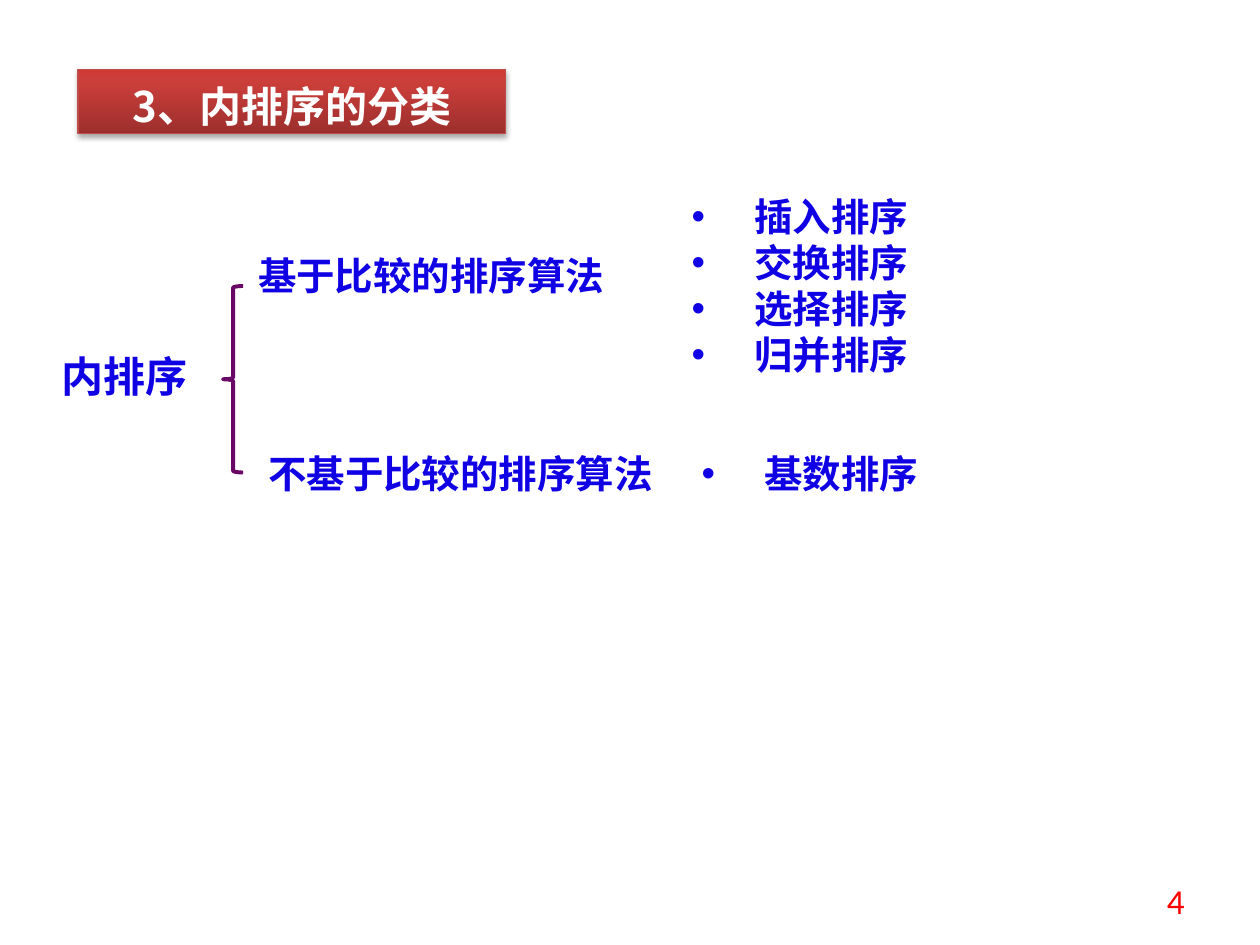
"""Build the slide that classifies internal sorting methods."""
from lxml import etree
from pptx import Presentation, util as u
from pptx.dml.color import RGBColor
from pptx.enum import shapes, text
from pptx.oxml import parse_xml
from pptx.oxml.ns import nsdecls, qn

PX = 9144
HUES = {"ink": "1000E4", "brace": "690764", "edge": "BF4C48", "white": "FFFFFF",
        "page": "FF0000", "low": "9C2F2D", "mid": "CB3E3A", "top": "CE3B37",
        "shade": "000000"}
SERIF = "Times New Roman"


def rgb(hue):
    return RGBColor.from_string(HUES[hue])


def area(*box):
    return [u.Emu(n * PX) for n in box]


def style(para, size, hue, face, bold=True):
    font = para.font
    font.size, font.name, font.bold = u.Pt(size), face, bold
    font.color.rgb = rgb(hue)


def bullet(para):
    props = para._p.get_or_add_pPr()
    props.set("marL", str(50 * PX))
    props.set("indent", str(-50 * PX))
    etree.SubElement(props, qn("a:buFont")).set("typeface", "Arial")
    etree.SubElement(props, qn("a:buChar")).set("char", "•")


def label(slide, box, lines, size=22, dots=False):
    frame = slide.shapes.add_textbox(*area(*box)).text_frame
    frame.word_wrap = True
    frame.auto_size = text.MSO_AUTO_SIZE.SHAPE_TO_FIT_TEXT
    frame.text = "\n".join(lines)
    for para in frame.paragraphs:
        if dots:
            bullet(para)
        style(para, size, "ink", SERIF)


def banner(slide, box, words):
    shape = slide.shapes.add_shape(shapes.MSO_SHAPE.RECTANGLE, *area(*box))
    shape.line.color.rgb = rgb("edge")
    shape.line.width = u.Pt(0.75)
    stops = "".join(
        f'<a:gs pos="{pos * 1000}"><a:srgbClr val="{HUES[hue]}"/></a:gs>'
        for pos, hue in ((0, "low"), (80, "mid"), (100, "top")))
    props = shape._element.spPr
    props.find(qn("a:ln")).addprevious(parse_xml(
        f'<a:gradFill {nsdecls("a")} rotWithShape="1"><a:gsLst>{stops}</a:gsLst>'
        '<a:lin ang="16200000" scaled="0"/></a:gradFill>'))
    props.append(parse_xml(
        f'<a:effectLst {nsdecls("a")}><a:outerShdw blurRad="{u.Pt(3.1)}" '
        f'dist="{u.Pt(1.8)}" dir="5400000" rotWithShape="0">'
        f'<a:srgbClr val="{HUES["shade"]}"><a:alpha val="35000"/></a:srgbClr>'
        '</a:outerShdw></a:effectLst>'))
    frame = shape.text_frame
    frame.vertical_anchor = text.MSO_ANCHOR.TOP
    frame.auto_size = text.MSO_AUTO_SIZE.SHAPE_TO_FIT_TEXT
    frame.text = words
    para = frame.paragraphs[0]
    para.alignment = text.PP_ALIGN.CENTER
    para.line_spacing = 1.1
    style(para, 24, "white", "Noto Sans CJK SC")


def brace(slide, box):
    shape = slide.shapes.add_shape(shapes.MSO_SHAPE.LEFT_BRACE, *area(*box))
    shape.shadow.inherit = False
    shape.fill.background()
    shape.line.color.rgb = rgb("brace")
    shape.line.width = u.Pt(2.25)


def number(slide, box, words):
    frame = slide.shapes.add_textbox(*area(*box)).text_frame
    frame.word_wrap = True
    frame.vertical_anchor = text.MSO_ANCHOR.MIDDLE
    frame.text = words
    para = frame.paragraphs[0]
    para.alignment = text.PP_ALIGN.RIGHT
    style(para, 20, "page", "Calibri", False)


def main():
    deck = Presentation()
    deck.slide_width, deck.slide_height = area(1000, 750)
    slide = deck.slides.add_slide(deck.slide_layouts[6])
    banner(slide, (62, 55, 339, 51), "3、内排序的分类")
    label(slide, (39, 273, 133, 50), ["内排序"], size=24)
    label(slide, (195, 195, 313, 47), ["基于比较的排序算法"])
    label(slide, (203, 352, 328, 47), ["不基于比较的排序算法"])
    label(slide, (539, 148, 195, 158),
          ["插入排序", "交换排序", "选择排序", "归并排序"], dots=True)
    label(slide, (547, 352, 203, 47), ["基数排序"], dots=True)
    brace(slide, (177, 227, 16, 148))
    number(slide, (717, 695, 233, 40), "4")
    deck.save("out.pptx")


if __name__ == "__main__":
    main()
